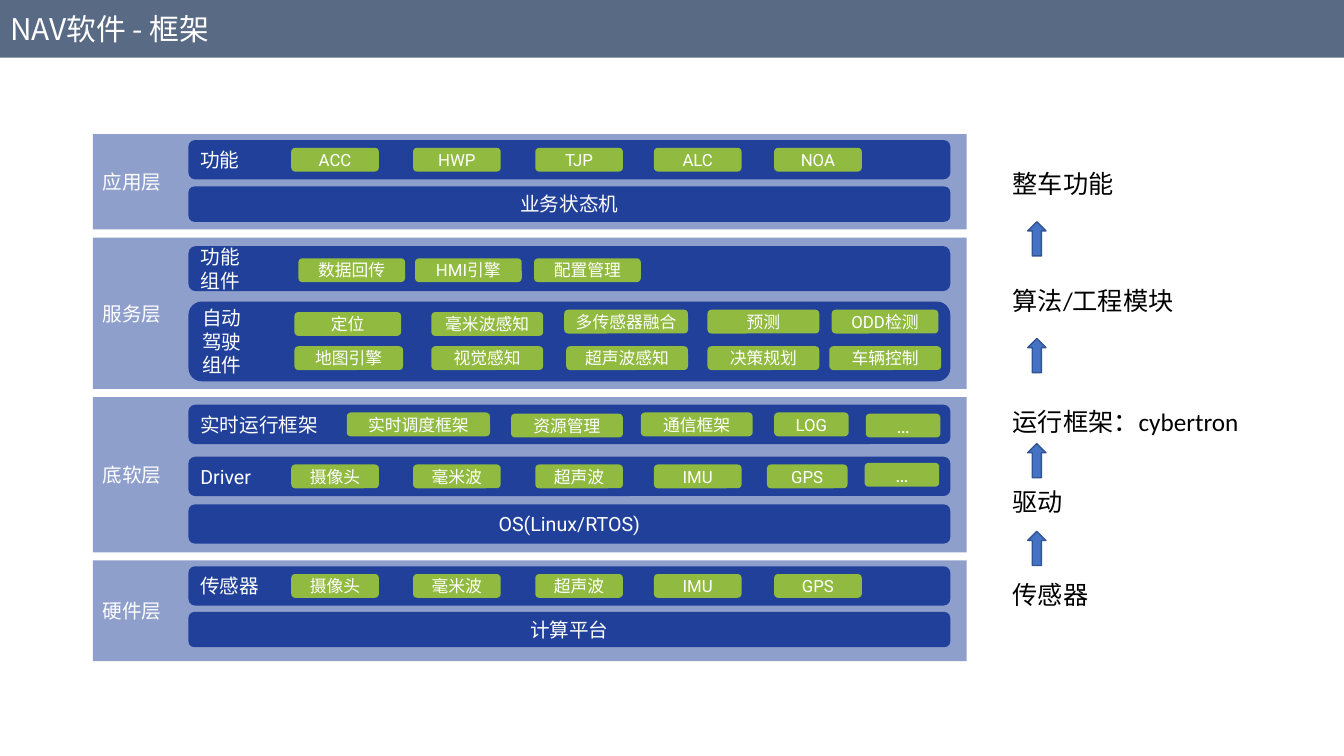
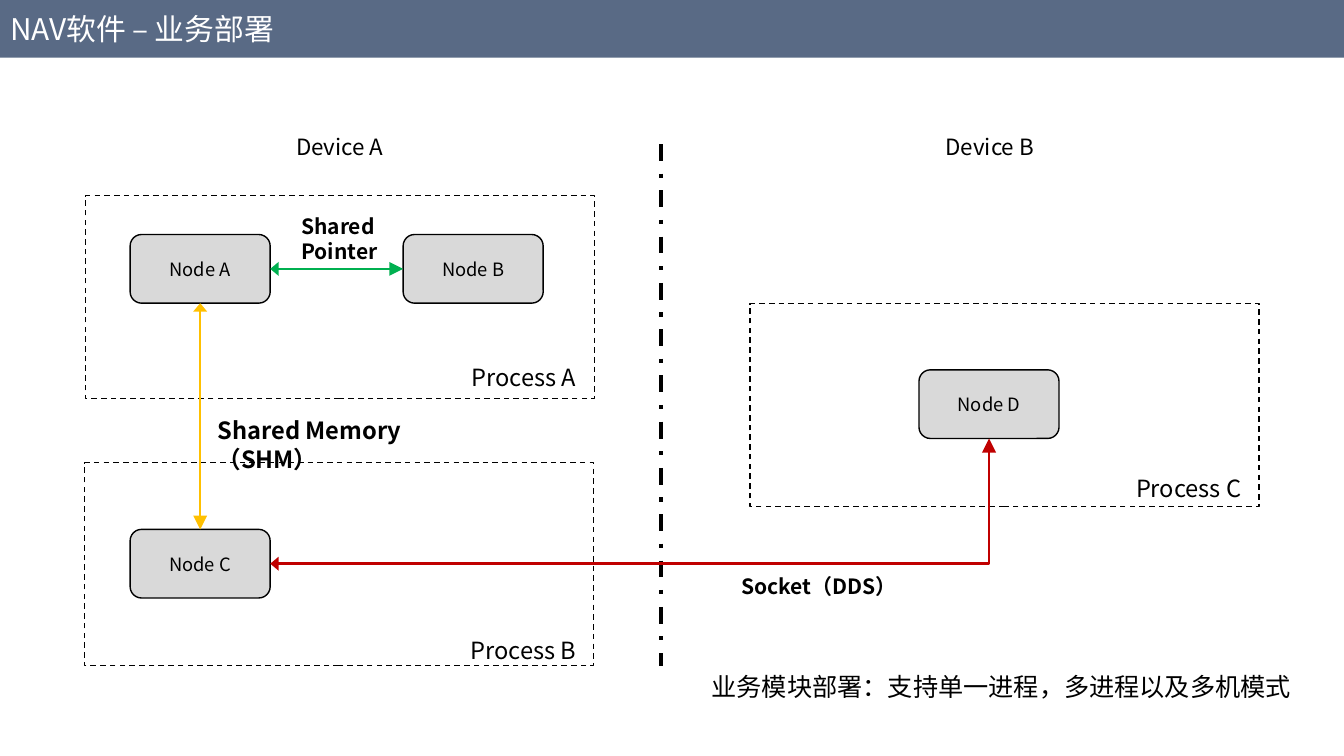
from dataclasses import dataclass
from typing import Any, Optional

import lxml.etree
import pptx
import pptx.dml.color
import pptx.enum.dml
import pptx.enum.lang
import pptx.enum.shapes
import pptx.enum.text
import pptx.oxml.ns
import pptx.util

Cm = pptx.util.Cm
Pt = pptx.util.Pt
qn = pptx.oxml.ns.qn
Shape = pptx.enum.shapes.MSO_SHAPE
Line = pptx.enum.dml.MSO_LINE
Align = pptx.enum.text.PP_ALIGN


@dataclass(frozen=True)
class Theme:
    heading_font: str = "Noto Sans CJK SC"
    layer_font: str = "Roboto"
    caption_font: str = "Calibri"
    white: str = "FFFFFF"
    black: str = "000000"
    band: str = "596A85"
    navy: str = "20409A"
    green: str = "91BA40"
    arrow: str = "4472C4"
    arrow_edge: str = "325491"
    node: str = "D9D9D9"
    pointer: str = "00B050"
    memory: str = "FFC000"
    socket: str = "C00000"
    title_size: float = 21.3
    caption_size: float = 18
    process_size: float = 16.9
    host_size: float = 16
    link_size: float = 15
    layer_size: float = 14
    node_size: float = 13.1
    chip_size: float = 12


THEME = Theme()
SLIDE_WIDTH = 33.87


@dataclass(frozen=True)
class Box:
    left: float
    top: float
    width: float
    height: float


@dataclass(frozen=True)
class Style:
    font: str
    size: float
    color: str
    bold: bool = False
    align: Any = Align.LEFT


@dataclass(frozen=True)
class Chip:
    text: str
    left: float
    width: float = 2.21
    drop: float = 0


@dataclass(frozen=True)
class Row:
    label: str
    top: float
    height: float
    chips: tuple[Chip, ...] = ()


@dataclass(frozen=True)
class Layer:
    name: str
    top: float
    height: float
    rows: tuple[Row, ...]


@dataclass(frozen=True)
class Process:
    name: str
    left: float
    top: float
    label_top: float


@dataclass(frozen=True)
class Node:
    name: str
    left: float
    top: float


@dataclass(frozen=True)
class Link:
    start: str
    start_side: int
    end: str
    end_side: int
    color: str
    weight: float
    bent: bool = False


@dataclass(frozen=True)
class Label:
    text: str
    box: Box
    style: Style
    wrap: bool = True


CHIP_HEIGHT = 0.6
SENSOR_LEFTS = (7.34, 10.41, 13.49, 16.48, 19.51)


def sensor_chips(*names: str) -> tuple[Chip, ...]:
    return tuple(Chip(name, left) for name, left in zip(names, SENSOR_LEFTS))


LAYERS = (
    Layer("应用层", 3.38, 2.4, (
        Row("功能", 3.53, 0.99, sensor_chips("ACC", "HWP", "TJP", "ALC", "NOA")),
        Row("业务状态机", 4.7, 0.89),
    )),
    Layer("服务层", 5.99, 3.81, (
        Row("功能\n组件", 6.2, 1.14, (
            Chip("数据回传", 7.52, 2.69, 0.04),
            Chip("HMI引擎", 10.46, 2.69, 0.04),
            Chip("配置管理", 13.46, 2.69, 0.04),
        )),
        Row("自动\n驾驶\n组件", 7.6, 2.01, (
            Chip("定位", 7.42, 2.69, -0.44),
            Chip("毫米波感知", 10.87, 2.82, -0.44),
            Chip("多传感器融合", 14.22, 3.12, -0.5),
            Chip("预测", 17.83, 2.82, -0.5),
            Chip("ODD检测", 20.96, 2.69, -0.5),
            Chip("地图引擎", 7.42, 2.74, 0.42),
            Chip("视觉感知", 10.87, 2.82, 0.42),
            Chip("超声波感知", 14.27, 3.07, 0.42),
            Chip("决策规划", 17.83, 2.82, 0.42),
            Chip("车辆控制", 20.9, 2.82, 0.42),
        )),
    )),
    Layer("底软层", 10.01, 3.91, (
        Row("实时运行框架", 10.2, 0.99, (
            Chip("实时调度框架", 8.74, 3.61),
            Chip("资源管理", 12.88, 2.82, 0.03),
            Chip("通信框架", 16.15, 2.82),
            Chip("LOG", 19.51, 1.88),
            Chip("…", 21.82, 1.88, 0.03),
        )),
        Row("Driver", 11.51, 0.99, sensor_chips("摄像头", "毫米波", "超声波", "IMU") + (
            Chip("GPS", 19.33, 2.03),
            Chip("…", 21.79, 1.88, -0.04),
        )),
        Row("OS(Linux/RTOS)", 12.71, 0.99),
    )),
    Layer("硬件层", 14.12, 2.54, (
        Row("传感器", 14.27, 0.99, sensor_chips("摄像头", "毫米波", "超声波", "IMU", "GPS")),
        Row("计算平台", 15.42, 0.89),
    )),
)
CAPTIONS = (
    ("整车功能", 4.11),
    ("算法/工程模块", 7.06),
    ("运行框架：cybertron", 10.11),
    ("驱动", 12.12),
    ("传感器", 14.48),
)
ARROW_TOPS = (5.59, 8.53, 11.18, 13.39)

PROCESSES = (
    Process("Process A", 2.15, 4.93, 9.02),
    Process("Process B", 2.13, 11.66, 15.9),
    Process("Process C", 18.9, 7.65, 11.81),
)
NODES = (
    Node("Node A", 3.28, 5.91),
    Node("Node B", 10.16, 5.91),
    Node("Node C", 3.28, 13.34),
    Node("Node D", 23.16, 9.32),
)
LINKS = (
    Link("Node A", 2, "Node C", 0, THEME.memory, 1.75),
    Link("Node A", 3, "Node B", 1, THEME.pointer, 1.75),
    Link("Node C", 3, "Node D", 2, THEME.socket, 2, bent=True),
)
CAPTION = Style(THEME.caption_font, THEME.caption_size, THEME.black)
HOST = Style(THEME.heading_font, THEME.host_size, THEME.black, align=Align.CENTER)
PROCESS = Style(THEME.heading_font, THEME.process_size, THEME.black)
MEMORY = Style(THEME.heading_font, THEME.process_size, THEME.black, bold=True)
LINK = Style(THEME.heading_font, THEME.link_size, THEME.black, bold=True)
LABELS = (
    Label("Device A", Box(5.49, 3.23, 6.15, 0.94), HOST),
    Label("Device B", Box(21.87, 3.23, 6.15, 0.94), HOST),
    Label("Shared\nPointer", Box(7.34, 5.26, 2.44, 1.35), LINK, wrap=False),
    Label("Shared Memory（SHM）", Box(5.23, 10.36, 7.52, 0.99), MEMORY),
    Label("Socket（DDS）", Box(18.44, 14.33, 5.54, 0.89), LINK),
    Label("业务模块部署：支持单一进程，多进程以及多机模式",
          Box(17.68, 16.79, 15.27, 1.02), CAPTION, wrap=False),
)


def rgb(color: str) -> pptx.dml.color.RGBColor:
    return pptx.dml.color.RGBColor.from_string(color)


def place(box: Box) -> tuple[int, int, int, int]:
    return Cm(box.left), Cm(box.top), Cm(box.width), Cm(box.height)


def write(frame: Any, text: str, style: Style) -> None:
    frame.text = text
    for paragraph in frame.paragraphs:
        paragraph.alignment = style.align
        font = paragraph.font
        font.name = style.font
        font.size = Pt(style.size)
        font.bold = style.bold
        font.color.rgb = rgb(style.color)
        font.language_id = pptx.enum.lang.MSO_LANGUAGE_ID.SIMPLIFIED_CHINESE
        latin = paragraph._p.pPr.find(qn("a:defRPr")).find(qn("a:latin"))
        east_asian = lxml.etree.Element(qn("a:ea"), typeface=style.font)
        latin.addnext(east_asian)


def draw_shape(slide: Any, kind: Any, box: Box, fill: Optional[str] = None,
               edge: Optional[str] = None, opacity: int = 100) -> Any:
    shape = slide.shapes.add_shape(kind, *place(box))
    shape.shadow.inherit = False
    if fill:
        shape.fill.solid()
        shape.fill.fore_color.rgb = rgb(fill)
    else:
        shape.fill.background()
    if edge:
        shape.line.color.rgb = rgb(edge)
        shape.line.width = Pt(1)
    else:
        shape.line.fill.background()
    if opacity < 100:
        color = shape.fill._xPr.find(qn("a:solidFill"))[0]
        lxml.etree.SubElement(color, qn("a:alpha"), val=str(opacity * 1000))
    return shape


def draw_label(slide: Any, label: Label) -> None:
    frame = slide.shapes.add_textbox(*place(label.box)).text_frame
    frame.word_wrap = label.wrap
    write(frame, label.text, label.style)


def draw_line(slide: Any, kind: Any, color: str, weight: float,
              top: float = 0, bottom: float = 0, x: float = 0) -> Any:
    line = slide.shapes.add_connector(kind, Cm(x), Cm(top), Cm(x), Cm(bottom))
    line.line.color.rgb = rgb(color)
    line.line.width = Pt(weight)
    lxml.etree.SubElement(line._element.spPr, qn("a:effectLst"))
    return line


def add_titled_slide(deck: Any, text: str) -> Any:
    slide = deck.slides.add_slide(deck.slide_layouts[5])
    title = slide.shapes.title
    title.left, title.top, title.width, title.height = place(Box(0, 0, SLIDE_WIDTH, 1.45))
    title.fill.solid()
    title.fill.fore_color.rgb = rgb(THEME.band)
    frame = title.text_frame
    frame.auto_size = pptx.enum.text.MSO_AUTO_SIZE.NONE
    frame.vertical_anchor = pptx.enum.text.MSO_ANCHOR.MIDDLE
    write(frame, text, Style(THEME.heading_font, THEME.title_size, THEME.white))
    return slide


def draw_row(slide: Any, row: Row) -> None:
    bar = draw_shape(slide, Shape.ROUNDED_RECTANGLE, Box(4.75, row.top, 19.2, row.height), THEME.navy)
    align = Align.LEFT if row.chips else Align.CENTER
    write(bar.text_frame, row.label, Style(THEME.layer_font, THEME.layer_size, THEME.white, align=align))
    middle = row.top + (row.height - CHIP_HEIGHT) / 2
    for chip in row.chips:
        box = Box(chip.left, middle + chip.drop, chip.width, CHIP_HEIGHT)
        tag = draw_shape(slide, Shape.ROUNDED_RECTANGLE, box, THEME.green)
        size = THEME.layer_size if chip.text == "…" else THEME.chip_size
        write(tag.text_frame, chip.text, Style(THEME.layer_font, size, THEME.white, align=Align.CENTER))


def build_framework(deck: Any) -> None:
    slide = add_titled_slide(deck, "NAV软件 - 框架")
    for layer in LAYERS:
        panel = draw_shape(slide, Shape.RECTANGLE, Box(2.34, layer.top, 22.02, layer.height),
                           THEME.navy, opacity=50)
        write(panel.text_frame, layer.name, Style(THEME.layer_font, THEME.layer_size, THEME.white))
        for row in layer.rows:
            draw_row(slide, row)
    for text, top in CAPTIONS:
        draw_label(slide, Label(text, Box(25.27, top, 6.63, 1.02), CAPTION))
    for top in ARROW_TOPS:
        draw_shape(slide, Shape.UP_ARROW, Box(25.9, top, 0.46, 0.86), THEME.arrow, THEME.arrow_edge)


def draw_link(slide: Any, link: Link, nodes: dict[str, Any]) -> None:
    kinds = pptx.enum.shapes.MSO_CONNECTOR
    arrow = draw_line(slide, kinds.ELBOW if link.bent else kinds.STRAIGHT, link.color, link.weight)
    arrow.begin_connect(nodes[link.start], link.start_side)
    arrow.end_connect(nodes[link.end], link.end_side)
    if link.bent:
        arrow._element.spPr.find(qn("a:prstGeom")).set("prst", "bentConnector2")
    for tip, length in (("a:headEnd", "med"), ("a:tailEnd", "lg")):
        lxml.etree.SubElement(arrow.line._ln, qn(tip), type="triangle", w="lg", len=length)


def build_deployment(deck: Any) -> None:
    slide = add_titled_slide(deck, "NAV软件 – 业务部署")
    divider = draw_line(slide, pptx.enum.shapes.MSO_CONNECTOR.STRAIGHT, THEME.black, 3, 3.63, 16.79, 16.66)
    divider.line.dash_style = Line.DASH_DOT
    for process in PROCESSES:
        frame = draw_shape(slide, Shape.RECTANGLE, Box(process.left, process.top, 12.83, 5.11), edge=THEME.black)
        frame.line.dash_style = Line.DASH
        draw_label(slide, Label(process.name, Box(process.left + 9.48, process.label_top, 3.35, 0.86), PROCESS))
    nodes = {}
    for node in NODES:
        block = draw_shape(slide, Shape.ROUNDED_RECTANGLE, Box(node.left, node.top, 3.53, 1.73),
                           THEME.node, THEME.black)
        write(block.text_frame, node.name,
              Style(THEME.heading_font, THEME.node_size, THEME.black, align=Align.CENTER))
        nodes[node.name] = block
    for link in LINKS:
        draw_link(slide, link, nodes)
    for label in LABELS:
        draw_label(slide, label)


def main() -> None:
    deck = pptx.Presentation()
    deck.slide_width, deck.slide_height = Cm(SLIDE_WIDTH), Cm(19.05)
    build_framework(deck)
    build_deployment(deck)
    deck.save("out.pptx")


if __name__ == "__main__":
    main()
